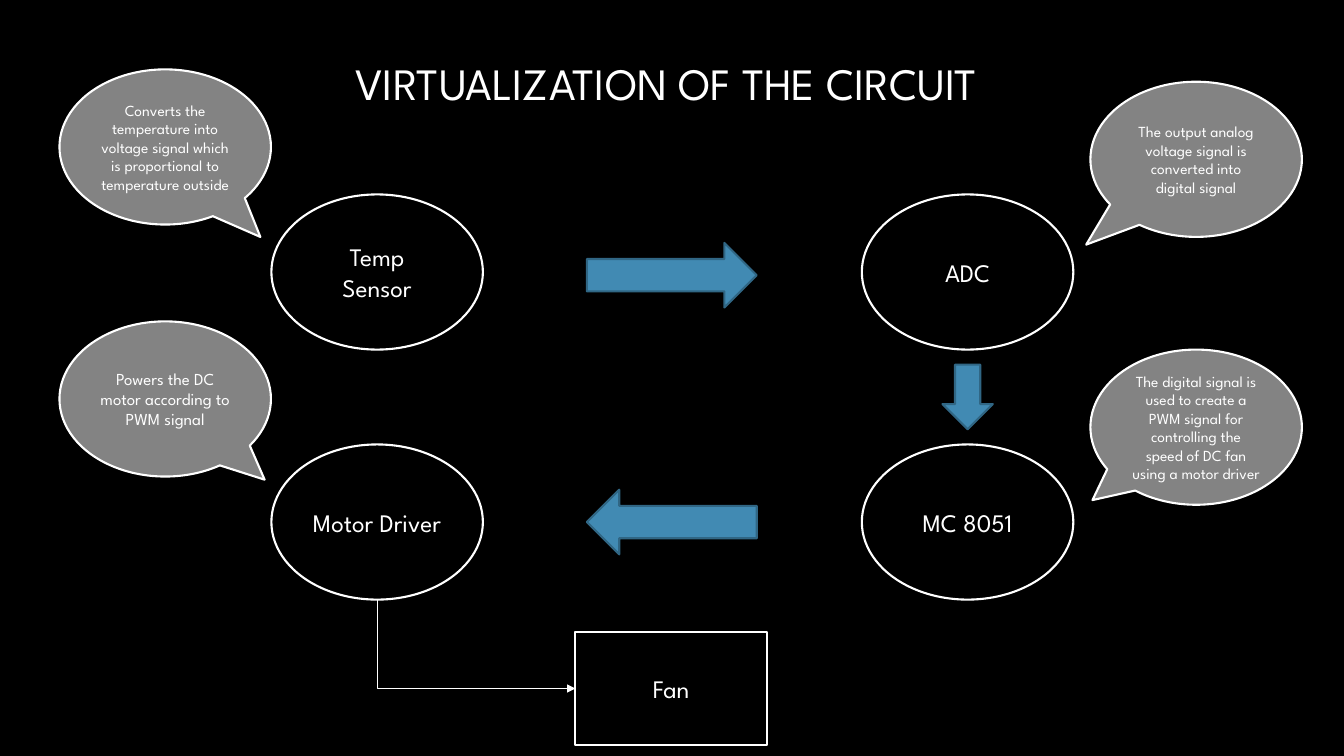
from dataclasses import dataclass

from lxml import etree
from pptx import Presentation
from pptx.dml.color import RGBColor
from pptx.enum.shapes import MSO_CONNECTOR, MSO_SHAPE
from pptx.enum.text import MSO_ANCHOR, PP_ALIGN
from pptx.oxml.ns import qn
from pptx.util import Cm, Pt

OVAL = MSO_SHAPE.OVAL
RECTANGLE = MSO_SHAPE.RECTANGLE
CALLOUT = MSO_SHAPE.OVAL_CALLOUT
ARROW = MSO_SHAPE.RIGHT_ARROW
ELBOW = MSO_CONNECTOR.ELBOW
CENTER = PP_ALIGN.CENTER
MIDDLE = MSO_ANCHOR.MIDDLE


@dataclass(frozen=True)
class Theme:
    font: str = "League Spartan"
    background: RGBColor = RGBColor(0, 0, 0)
    light: RGBColor = RGBColor(255, 255, 255)
    note: RGBColor = RGBColor(0x83, 0x83, 0x83)
    arrow: RGBColor = RGBColor(0x41, 0x8A, 0xB3)
    arrow_edge: RGBColor = RGBColor(0x30, 0x66, 0x84)
    title_size: int = 32
    stage_size: int = 18
    note_size: int = 11
    outline: float = 1.5
    link: float = 0.75


class Diagram:
    def __init__(self, slide, theme):
        self.slide = slide
        self.theme = theme
        slide.background.fill.solid()
        slide.background.fill.fore_color.rgb = theme.background

    def label(self, holder, text, size):
        frame = holder.text_frame
        frame.word_wrap = True
        frame.vertical_anchor = MIDDLE
        frame.text = text
        for paragraph in frame.paragraphs:
            paragraph.alignment = CENTER
            paragraph.font.name = self.theme.font
            paragraph.font.size = Pt(size)
            paragraph.font.color.rgb = self.theme.light

    def outlined(self, kind, box, edge, fill=None):
        shape = self.slide.shapes.add_shape(kind, *map(Cm, box))
        shape.shadow.inherit = False
        if fill is None:
            shape.fill.background()
        else:
            shape.fill.solid()
            shape.fill.fore_color.rgb = fill
        shape.line.color.rgb = edge
        shape.line.width = Pt(self.theme.outline)
        return shape

    def title(self, text, box):
        self.label(self.slide.shapes.add_textbox(*map(Cm, box)), text, self.theme.title_size)

    def stage(self, text, box, kind=OVAL):
        stage = self.outlined(kind, box, self.theme.light)
        self.label(stage, text, self.theme.stage_size)

    def note(self, text, box, pointer, size):
        """Speech bubble; pointer is the tip's offset from the centre, as a share of the size."""
        bubble = self.outlined(CALLOUT, box, self.theme.light, self.theme.note)
        bubble.adjustments[0], bubble.adjustments[1] = pointer
        self.label(bubble, text, size)

    def arrow(self, box, rotation):
        self.outlined(ARROW, box, self.theme.arrow_edge, self.theme.arrow).rotation = rotation

    def down_then_right(self, x1, y1, x2, y2):
        """One-corner connector: a mirrored bend turned by 270 degrees about its centre."""
        mid_x, mid_y = (x1 + x2) / 2, (y1 + y2) / 2
        half_w, half_h = (y2 - y1) / 2, (x2 - x1) / 2
        link = self.slide.shapes.add_connector(
            ELBOW, Cm(mid_x + half_w), Cm(mid_y - half_h), Cm(mid_x - half_w), Cm(mid_y + half_h))
        link.line.color.rgb = self.theme.light
        link.line.width = Pt(self.theme.link)
        properties = link._element.spPr
        properties.find(qn("a:xfrm")).set("rot", str(270 * 60000))
        properties.find(qn("a:prstGeom")).set("prst", "bentConnector2")
        etree.SubElement(properties.find(qn("a:ln")), qn("a:tailEnd")).set("type", "triangle")
        etree.SubElement(properties, qn("a:effectLst"))


def main():
    presentation = Presentation()
    presentation.slide_width, presentation.slide_height = Cm(33.87), Cm(19.05)
    theme = Theme()
    diagram = Diagram(presentation.slides.add_slide(presentation.slide_layouts[6]), theme)
    oval_size = (5.33, 3.91)

    diagram.title("VIRTUALIZATION OF THE CIRCUIT ", (3.18, 1.02, 27.51, 2.13))

    left, right, upper, lower = 6.84, 21.72, 4.9, 11.2
    for text, x, y in (
        ("Temp\nSensor", left, upper),
        ("ADC", right, upper),
        ("Motor Driver", left, lower),
        ("MC 8051", right, lower),
    ):
        diagram.stage(text, (x, y, *oval_size))

    fan_x, fan_y, fan_width, fan_height = 14.5, 15.93, 4.83, 2.84
    diagram.stage("Fan", (fan_x, fan_y, fan_width, fan_height), RECTANGLE)

    note_left, note_right = 1.5, 27.48
    for text, x, y, pointer, size in (
        ("The output analog voltage signal is converted into digital signal",
         note_right, 2.06, (-0.52, 0.55), theme.note_size),
        ("Powers the DC motor according to PWM signal",
         note_left, 8.1, (0.47, 0.52), theme.note_size + 1),
        ("Converts the temperature into voltage signal which is proportional to "
         "temperature outside",
         note_left, 1.75, (0.45, 0.58), theme.note_size),
        ("The digital signal is used to create a PWM signal for controlling the "
         "speed of DC fan using a motor driver",
         note_right, 8.81, (-0.49, 0.47), theme.note_size),
    ):
        diagram.note(text, (x, y, *oval_size), pointer, size)

    for box, rotation in (
        ((14.79, 6.12, 4.28, 1.63), 0),
        ((14.79, 12.34, 4.28, 1.63), 180),
        ((23.57, 9.37, 1.63, 1.27), 90),
    ):
        diagram.arrow(box, rotation)

    diagram.down_then_right(
        left + oval_size[0] / 2, lower + oval_size[1], fan_x, fan_y + fan_height / 2)
    presentation.save("out.pptx")


if __name__ == "__main__":
    main()
